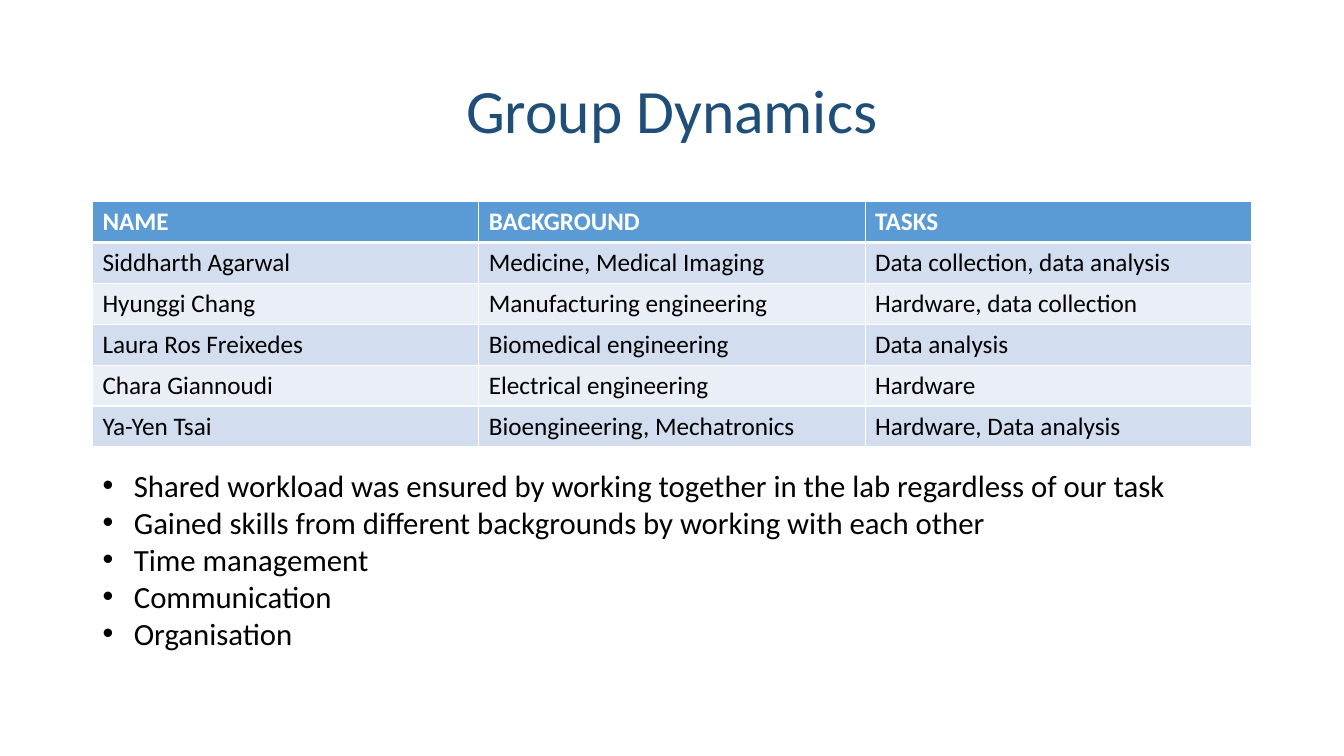
from lxml import etree
from pptx import Presentation
from pptx.dml.color import RGBColor
from pptx.enum.text import MSO_ANCHOR, MSO_AUTO_SIZE, PP_ALIGN
from pptx.oxml.ns import qn
from pptx.util import Cm, Pt

CENTER, LEFT = PP_ALIGN.CENTER, PP_ALIGN.LEFT
MIDDLE, TOP = MSO_ANCHOR.MIDDLE, MSO_ANCHOR.TOP
GROW = MSO_AUTO_SIZE.SHAPE_TO_FIT_TEXT
NO_FIT = MSO_AUTO_SIZE.NONE

MARGIN, CONTENT_WIDTH = Cm(2.33), Cm(29.21)
HEADER_FILL, BAND_FILLS = "5B9BD5", ("EAEFF7", "D2DEEF")


def style(font, size, color, bold=False):
    font.name = "Calibri"
    font.size = Pt(size)
    font.bold = bold
    font.color.rgb = RGBColor.from_string(color)


def add_border(cell, side, points):
    line = etree.SubElement(cell._tc.get_or_add_tcPr(), qn(f"a:ln{side}"), w=str(Pt(points)))
    fill = etree.SubElement(line, qn("a:solidFill"))
    etree.SubElement(fill, qn("a:srgbClr"), val="FFFFFF")


prs = Presentation()
prs.slide_width, prs.slide_height = Cm(33.87), Cm(19.05)
slide = prs.slides.add_slide(prs.slide_layouts[1])

# Title
title = slide.shapes.title
title.left, title.top, title.width, title.height = MARGIN, Cm(1.01), CONTENT_WIDTH, Cm(3.68)
title.text_frame.text = "Group Dynamics"
title.text_frame.vertical_anchor = MIDDLE
title.text_frame.auto_size = NO_FIT
heading = title.text_frame.paragraphs[0]
heading.alignment = CENTER
heading.line_spacing = 0.9
style(heading.runs[0].font, 44, "1F4E79")

# Team table
team = [
    ("NAME", "BACKGROUND", "TASKS"),
    ("Siddharth Agarwal", "Medicine, Medical Imaging", "Data collection, data analysis"),
    ("Hyunggi Chang", "Manufacturing engineering", "Hardware, data collection"),
    ("Laura Ros Freixedes", "Biomedical engineering", "Data analysis"),
    ("Chara Giannoudi", "Electrical engineering", "Hardware"),
    ("Ya-Yen Tsai", "Bioengineering, Mechatronics", "Hardware, Data analysis"),
]
team_table = slide.shapes.add_table(
    len(team), len(team[0]), MARGIN, Cm(5.08), CONTENT_WIDTH, Cm(6.18)).table
for row, member in enumerate(team):
    is_header = row == 0
    for column, entry in enumerate(member):
        cell = team_table.cell(row, column)
        cell.text_frame.text = entry
        style(cell.text_frame.paragraphs[0].runs[0].font, 18,
              "FFFFFF" if is_header else "000000", is_header)
        # Borders, thicker under the header
        add_border(cell, "L", 1)
        add_border(cell, "R", 1)
        add_border(cell, "T", 3 if row == 1 else 1)
        add_border(cell, "B", 3 if is_header else 1)
        cell.fill.solid()
        cell.fill.fore_color.rgb = RGBColor.from_string(
            HEADER_FILL if is_header else BAND_FILLS[row % 2])

# Lessons learned
lessons = [
    "Shared workload was ensured by working together in the lab regardless of our task",
    "Gained skills from different backgrounds by working with each other",
    "Time management",
    "Communication",
    "Organisation",
]
lesson_list = slide.placeholders[1]
lesson_list.left, lesson_list.top = MARGIN, Cm(11.63)
lesson_list.width, lesson_list.height = CONTENT_WIDTH, Cm(4.95)
lesson_frame = lesson_list.text_frame
lesson_frame.text = "\n".join(lessons)
lesson_frame.word_wrap = True
lesson_frame.auto_size = GROW
lesson_frame.vertical_anchor = TOP
for lesson in lesson_frame.paragraphs:
    lesson.alignment = LEFT
    lesson.space_before = Pt(0)
    properties = lesson._p.get_or_add_pPr()
    properties.set("marL", str(Cm(0.79)))
    properties.set("indent", str(-Cm(0.79)))
    etree.SubElement(properties, qn("a:buFont"), typeface="Arial")
    etree.SubElement(properties, qn("a:buChar"), char="•")
    style(lesson.runs[0].font, 22, "000000")

prs.save("out.pptx")
